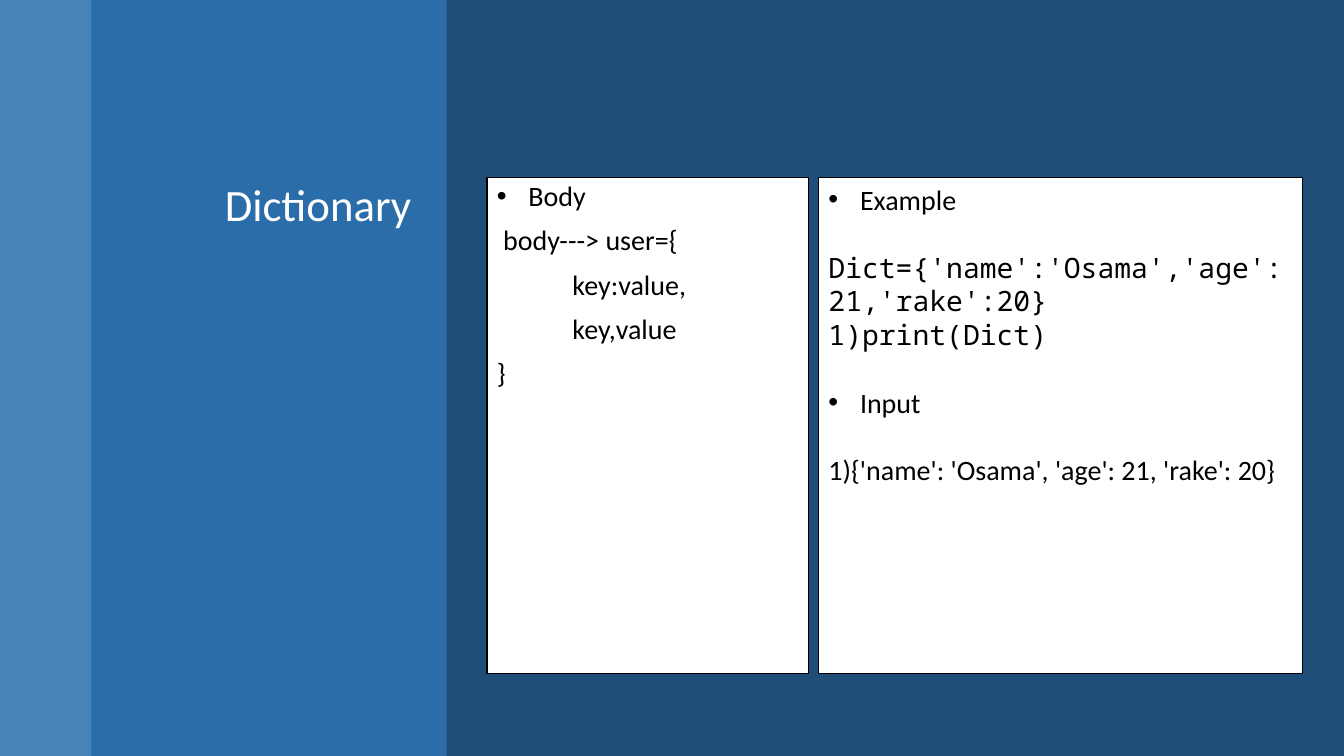
from dataclasses import dataclass

from pptx import Presentation
from pptx.dml.color import RGBColor
from pptx.enum.shapes import MSO_SHAPE
from pptx.enum.text import MSO_ANCHOR, PP_ALIGN
from pptx.oxml.ns import qn
from pptx.util import Pt
from lxml.etree import SubElement


@dataclass(frozen=True)
class Theme:
    background: str = "1F4E79"
    light_band: str = "5B9BD5"
    wide_band: str = "2E75B6"
    panel: str = "FFFFFF"
    ink: str = "000000"
    title_ink: str = "FFFFFF"
    font: str = "Calibri"
    code_font: str = "Noto Sans Mono"
    title_size: float = 32
    text_size: float = 20


THEME = Theme()
BULLET_INDENT = 22.5


def write_paragraph(paragraph, text, *, font=THEME.font, size=THEME.text_size,
                    color=THEME.ink, align=PP_ALIGN.LEFT, line_spacing=1.0,
                    space_before=0, indent=0, bullet=False):
    properties = paragraph._p.get_or_add_pPr()
    if bullet:
        properties.set("marL", str(Pt(BULLET_INDENT)))
        properties.set("indent", str(-Pt(BULLET_INDENT)))
        SubElement(properties, qn("a:buFont")).set("typeface", "Arial")
        SubElement(properties, qn("a:buChar")).set("char", "•")
    elif indent:
        properties.set("marL", str(Pt(indent)))
    paragraph.alignment = align
    paragraph.line_spacing = line_spacing
    paragraph.space_before = Pt(space_before)
    run = paragraph.add_run()
    run.text = text
    run.font.name = font
    run.font.size = Pt(size)
    run.font.color.rgb = RGBColor.from_string(color)


class SlideBuilder:
    def __init__(self, slide, theme):
        self.slide = slide
        self.theme = theme

    def background(self):
        fill = self.slide.background.fill
        fill.solid()
        fill.fore_color.rgb = RGBColor.from_string(self.theme.background)

    def rectangle(self, left, top, width, height, color):
        shape = self.slide.shapes.add_shape(
            MSO_SHAPE.RECTANGLE, Pt(left), Pt(top), Pt(width), Pt(height))
        shape.shadow.inherit = False
        shape.fill.solid()
        shape.fill.fore_color.rgb = RGBColor.from_string(color)
        shape.line.fill.background()
        return shape

    def band(self, left, width, color, opacity):
        """Draw a full-height translucent band; opacity is in percent."""
        shape = self.rectangle(left, 0, width, 540, color)
        color_element = shape._element.spPr.find(qn("a:solidFill"))[0]
        SubElement(color_element, qn("a:alpha")).set("val", str(opacity * 1000))

    def title(self, left, top, width, height, text):
        box = self.slide.shapes.add_textbox(Pt(left), Pt(top), Pt(width), Pt(height))
        box.text_frame.word_wrap = True
        write_paragraph(box.text_frame.paragraphs[0], text,
                        size=self.theme.title_size, color=self.theme.title_ink,
                        align=PP_ALIGN.RIGHT, line_spacing=0.9)

    def panel(self, left, top, width, height, lines, **common):
        """Draw an outlined panel from (text, format) pairs sharing a common format."""
        shape = self.rectangle(left, top, width, height, self.theme.panel)
        shape.line.color.rgb = RGBColor.from_string(self.theme.ink)
        shape.line.width = Pt(1)
        frame = shape.text_frame
        frame.word_wrap = True
        frame.vertical_anchor = MSO_ANCHOR.TOP
        for index, (text, line_format) in enumerate(lines):
            paragraph = frame.add_paragraph() if index else frame.paragraphs[0]
            settings = {**common, **line_format}
            if index == 0:
                settings["space_before"] = 0
            write_paragraph(paragraph, text, **settings)


def main():
    presentation = Presentation()
    presentation.slide_width = Pt(960)
    presentation.slide_height = Pt(540)
    slide = presentation.slides.add_slide(presentation.slide_layouts[6])
    builder = SlideBuilder(slide, THEME)

    builder.background()
    builder.band(0, 65.5, THEME.light_band, 70)
    builder.band(65.5, 253.5, THEME.wide_band, 80)

    top, height = 126.7, 354.2
    builder.title(78.5, top, 222.5, height, "Dictionary")

    body_lines = [
        ("Body", {"bullet": True}),
        ("body---> user={", {"indent": 4.5}),
        ("key:value,", {"indent": 54}),
        ("key,value", {"indent": 54}),
        ("}", {}),
    ]
    builder.panel(347.8, top, 229.7, height, body_lines,
                  line_spacing=0.9, space_before=10)

    code = {"font": THEME.code_font}
    gap = {"space_before": 24.4}
    example_lines = [
        ("Example", {"bullet": True}),
        ("Dict={'name':'Osama','age':21,'rake':20}", {**code, **gap}),
        ("1)print(Dict)", code),
        ("Input", {"bullet": True, **gap}),
        ("1){'name': 'Osama', 'age': 21, 'rake': 20}", gap),
    ]
    builder.panel(584.7, top, 345.8, height, example_lines)

    presentation.save("out.pptx")


if __name__ == "__main__":
    main()
